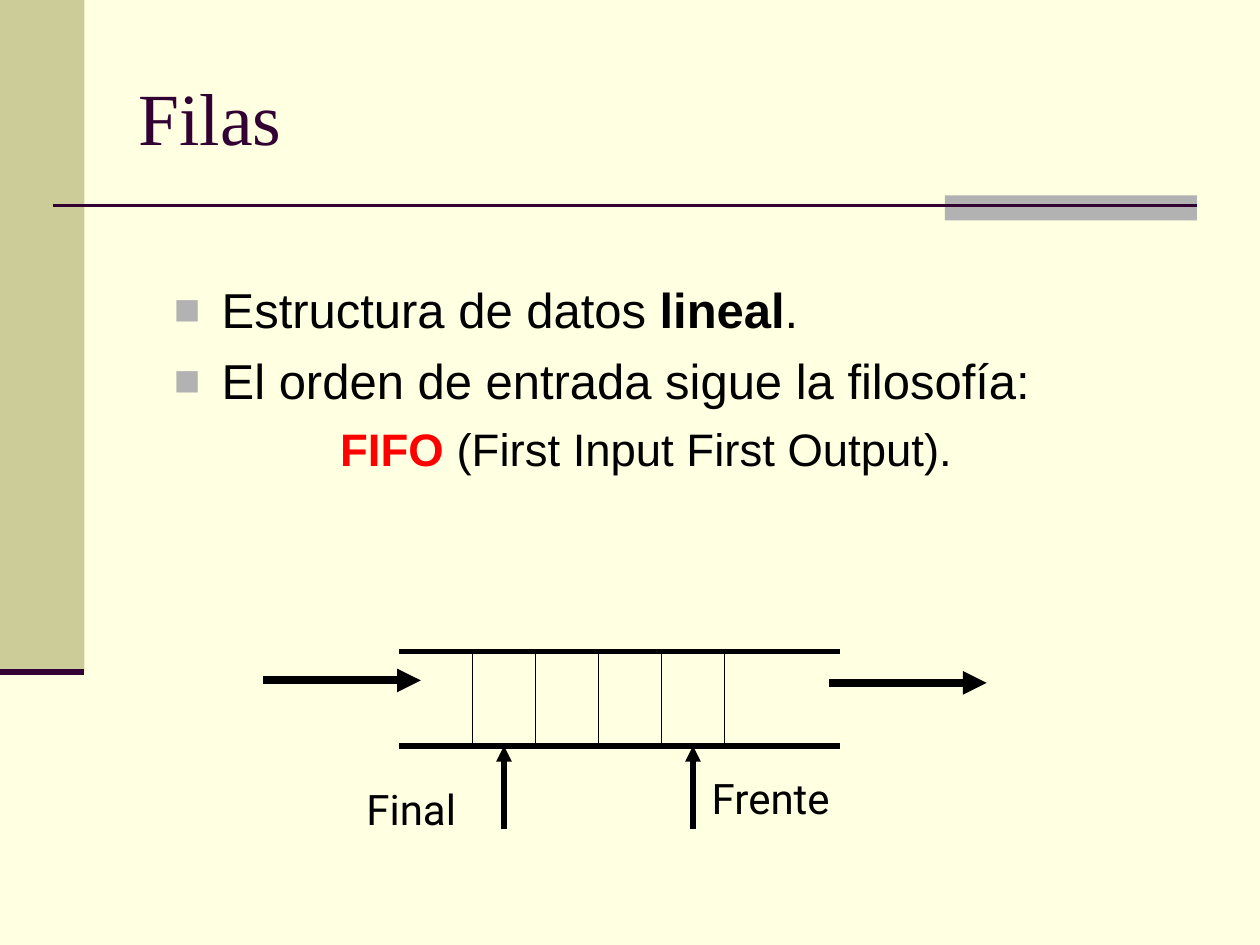
"""Build the slide that introduces queues and their FIFO order."""
from dataclasses import dataclass

import pptx
import pptx.dml.color
import pptx.enum.shapes
import pptx.enum.text
import pptx.oxml.ns
import pptx.util
from lxml import etree

Inches = pptx.util.Inches
Pt = pptx.util.Pt
INK, PLUM, GRAY = "000000", "330033", "B2B2B2"


@dataclass
class Stroke:
    start: tuple[float, float]
    end: tuple[float, float]
    width: float
    color: str = INK
    arrow: bool = False


@dataclass
class Band:
    left: float
    top: float
    width: float
    height: float
    color: str


@dataclass
class Label:
    text: str
    left: float
    top: float
    width: float
    height: float


def rgb(color: str) -> pptx.dml.color.RGBColor:
    return pptx.dml.color.RGBColor.from_string(color)


def add_child(parent, tag: str, **attributes: str):
    return etree.SubElement(parent, pptx.oxml.ns.qn(tag), attributes)


def draw_band(slide, band: Band) -> None:
    shape = slide.shapes.add_shape(
        pptx.enum.shapes.MSO_SHAPE.RECTANGLE,
        *map(Inches, (band.left, band.top, band.width, band.height)))
    shape.shadow.inherit = False
    shape.fill.solid()
    shape.fill.fore_color.rgb = rgb(band.color)
    shape.line.fill.background()


def draw_stroke(slide, stroke: Stroke) -> None:
    connector = slide.shapes.add_connector(
        pptx.enum.shapes.MSO_CONNECTOR.STRAIGHT,
        *map(Inches, stroke.start + stroke.end))
    connector.line.width = Pt(stroke.width)
    connector.line.color.rgb = rgb(stroke.color)
    if stroke.arrow:
        add_child(connector.line._get_or_add_ln(), "a:tailEnd", type="triangle")
    add_child(connector._element.spPr, "a:effectLst")


def write(paragraph, text: str, *, size: float, font: str = "Arial",
          color: str = INK, bold: bool = False) -> None:
    run = paragraph.add_run()
    run.text = text
    run.font.size = Pt(size)
    run.font.name = font
    run.font.bold = bold
    run.font.color.rgb = rgb(color)


def place(shape, left: float, top: float, width: float, height: float) -> None:
    shape.left, shape.top = Inches(left), Inches(top)
    shape.width, shape.height = Inches(width), Inches(height)


def set_indent(paragraph, margin: float, hanging: float, bullet: str = "") -> None:
    properties = paragraph._p.get_or_add_pPr()
    properties.set("marL", str(Inches(margin)))
    properties.set("indent", str(-Inches(hanging)))
    if bullet:
        add_child(add_child(properties, "a:buClr"), "a:srgbClr", val=GRAY)
        add_child(properties, "a:buSzPct", val="90000")
        add_child(properties, "a:buFont", typeface="Arial")
        add_child(properties, "a:buChar", char=bullet)
    else:
        add_child(properties, "a:buNone")


def fill_title(title) -> None:
    place(title, 1, 0.3, 8.5, 1.25)
    title.text_frame.vertical_anchor = pptx.enum.text.MSO_ANCHOR.MIDDLE
    heading = title.text_frame.paragraphs[0]
    heading.alignment = pptx.enum.text.PP_ALIGN.LEFT
    write(heading, "Filas", size=42, font="Times New Roman", color=PLUM)


def fill_body(body) -> None:
    place(body, 1.28, 2.17, 8.5, 2)
    frame = body.text_frame
    frame.auto_size = pptx.enum.text.MSO_AUTO_SIZE.NONE
    structure, order, fifo = (
        frame.paragraphs[0], frame.add_paragraph(), frame.add_paragraph())
    structure.space_before = Pt(0)
    order.space_before = Pt(7)
    fifo.space_before = Pt(6.5)
    fifo.level = 1
    for point in (structure, order):
        set_indent(point, 0.38, 0.38, "■")
    set_indent(fifo, 1.32, 0)
    write(structure, "Estructura de datos ", size=28)
    write(structure, "lineal", size=28, bold=True)
    write(structure, ".", size=28)
    write(order, "El orden de entrada sigue la filosofía:", size=28)
    write(fifo, "FIFO", size=26, color="FF0000", bold=True)
    write(fifo, " (First Input First Output).", size=26)


def draw_label(slide, label: Label) -> None:
    box = slide.shapes.add_textbox(
        *map(Inches, (label.left, label.top, label.width, label.height)))
    box.text_frame.word_wrap = False
    box.text_frame.auto_size = pptx.enum.text.MSO_AUTO_SIZE.SHAPE_TO_FIT_TEXT
    write(box.text_frame.paragraphs[0], label.text, size=24, font="Roboto")


def draw_queue(slide) -> None:
    top, bottom = 5.17, 5.92
    rails = [Stroke((3.17, y), (6.67, y), 3) for y in (top, bottom)]
    dividers = [Stroke((3.75 + 0.5 * i, top), (3.75 + 0.5 * i, bottom), 0.75)
                for i in range(5)]
    flows = [Stroke((x, y), (x + 1.25, y), 4.5, arrow=True)
             for x, y in ((2.09, 5.4), (6.58, 5.42))]
    pointers = [Stroke((x, 6.58), (x, bottom), 3, arrow=True) for x in (4, 5.5)]
    for stroke in rails + dividers + flows + pointers:
        draw_stroke(slide, stroke)
    draw_label(slide, Label("Final", 2.81, 6.17, 0.94, 0.5))
    draw_label(slide, Label("Frente", 5.55, 6.08, 1.21, 0.5))


def main() -> None:
    deck = pptx.Presentation()
    deck.slide_width, deck.slide_height = Inches(10), Inches(7.5)
    slide = deck.slides.add_slide(deck.slide_layouts[1])
    slide.background.fill.solid()
    slide.background.fill.fore_color.rgb = rgb("FFFFE1")
    draw_band(slide, Band(0, 0, 0.67, 5.33, "CCCC99"))
    draw_band(slide, Band(7.5, 1.55, 2, 0.2, GRAY))
    draw_stroke(slide, Stroke((0.42, 1.63), (9.5, 1.63), 1.5, PLUM))
    draw_stroke(slide, Stroke((0, 5.33), (0.67, 5.33), 3.5, PLUM))
    fill_title(slide.shapes.title)
    fill_body(slide.placeholders[1])
    draw_queue(slide)
    deck.save("out.pptx")


if __name__ == "__main__":
    main()
